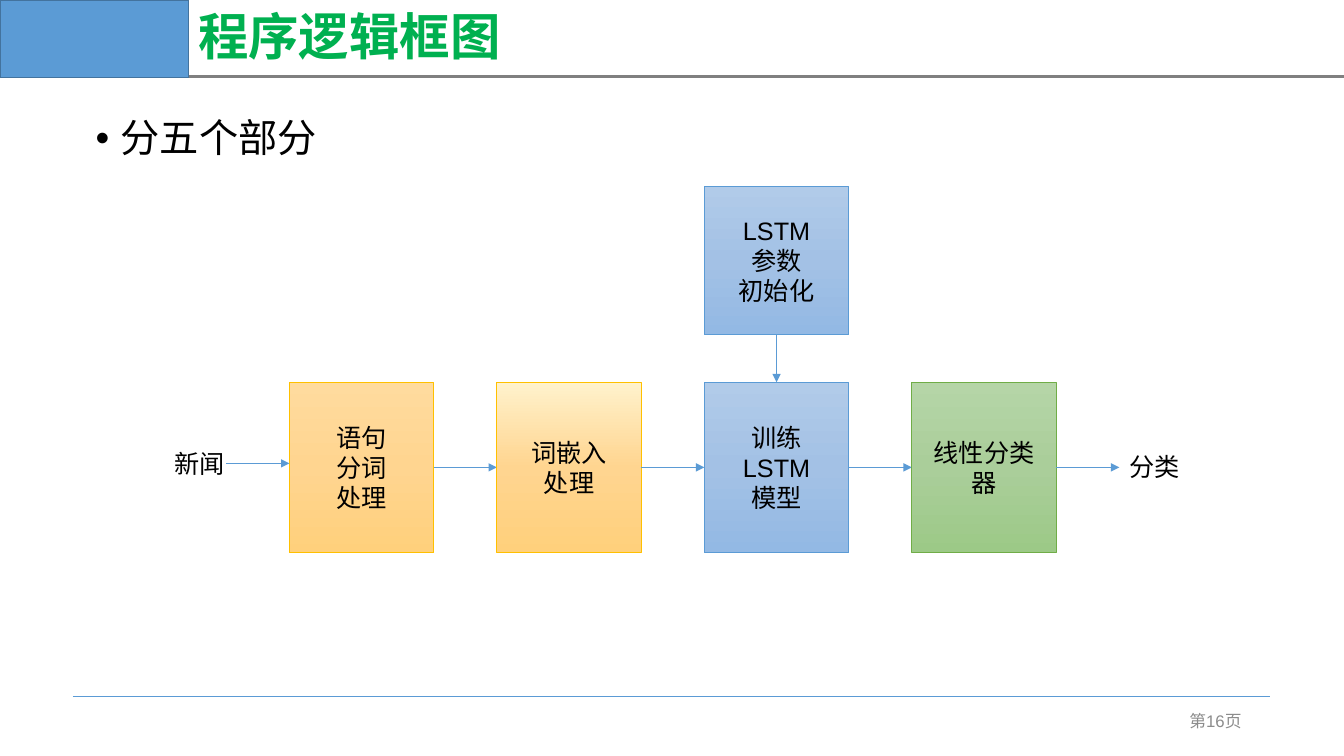
from copy import deepcopy

from lxml import etree
from pptx import Presentation
from pptx.dml.color import RGBColor
from pptx.enum.shapes import MSO_CONNECTOR, MSO_SHAPE
from pptx.enum.text import MSO_ANCHOR, PP_ALIGN
from pptx.oxml.ns import qn
from pptx.util import Pt

RECTANGLE = MSO_SHAPE.RECTANGLE
STRAIGHT = MSO_CONNECTOR.STRAIGHT
TOP, MIDDLE = MSO_ANCHOR.TOP, MSO_ANCHOR.MIDDLE
LEFT, CENTER, RIGHT = PP_ALIGN.LEFT, PP_ALIGN.CENTER, PP_ALIGN.RIGHT

COLORS = {
    "blue": "5B9BD5", "dark_blue": "43739E", "gray": "808080",
    "page_number": "8C8C8C", "title": "00B050", "black": "000000",
    "gold": "FFC000", "green": "70AD47",
}
GRADIENTS = {
    "orange": ("FFDB9E", "FFD590", "FFD07C"),
    "cream": ("FFF2CC", "FFD590", "FFD07C"),
    "blue": ("B1CBE9", "A3C1E5", "93B9E4"),
    "green": ("B5D5A7", "AACE9A", "9CC987"),
}


class FlowPage:
    """Draws the elements of a flow diagram on one page in a shared style."""

    latin_font = "Arial"
    chinese_font = "Noto Sans CJK SC"

    def __init__(self, page):
        self.shapes = page.shapes

    def color(self, name):
        return RGBColor.from_string(COLORS[name])

    def set_text(self, shape, lines, size=18, color="black", align=LEFT,
                 anchor=TOP, font=latin_font, bold=False):
        frame = shape.text_frame
        frame.vertical_anchor = anchor
        frame.text = "\n".join(lines)
        for para in frame.paragraphs:
            para.alignment = align
            para.font.size = Pt(size)
            para.font.bold = bold
            para.font.color.rgb = self.color(color)
            para.font.name = font
            defaults = para._p.pPr.find(qn("a:defRPr"))
            latin = defaults.find(qn("a:latin"))
            east_asian = etree.Element(qn("a:ea"), typeface=self.chinese_font)
            latin.addnext(east_asian)
        return frame

    def label(self, text, left, top, width, height, wrap=True, **style):
        box = self.shapes.add_textbox(Pt(left), Pt(top), Pt(width), Pt(height))
        frame = self.set_text(box, [text], **style)
        frame.word_wrap = wrap
        return frame.paragraphs[0]

    def bullet(self, text, left, top, width, height, size):
        para = self.label(text, left, top, width, height, size=size)
        para.line_spacing = 0.9
        para.space_before = Pt(10)
        properties = para._p.pPr
        properties.set("marL", str(Pt(18)))
        properties.set("indent", str(-Pt(18)))
        defaults = properties.find(qn("a:defRPr"))
        defaults.addprevious(etree.Element(qn("a:buFont"), typeface="Arial"))
        defaults.addprevious(etree.Element(qn("a:buChar"), char="•"))

    def rectangle(self, left, top, width, height, line, weight):
        shape = self.shapes.add_shape(
            RECTANGLE, Pt(left), Pt(top), Pt(width), Pt(height))
        shape.shadow.inherit = False
        shape.line.color.rgb = self.color(line)
        shape.line.width = Pt(weight)
        return shape

    def banner(self, left, top, width, height):
        shape = self.rectangle(left, top, width, height, "dark_blue", 1)
        shape.fill.solid()
        shape.fill.fore_color.rgb = self.color("blue")

    def step(self, lines, left, top, width, height, gradient, line):
        shape = self.rectangle(left, top, width, height, line, 0.5)
        shape.fill.gradient()
        shape.fill.gradient_angle = 270
        stop_list = shape._element.spPr.find(qn("a:gradFill")).find(qn("a:gsLst"))
        stop_list.insert(1, deepcopy(stop_list[0]))
        stops = shape.fill.gradient_stops
        for stop, position, value in zip(stops, (0, 0.5, 1), GRADIENTS[gradient]):
            stop.position = position
            stop.color.rgb = RGBColor.from_string(value)
        self.set_text(shape, lines, align=CENTER, anchor=MIDDLE)

    def line(self, x1, y1, x2, y2, color="blue", weight=0.5, arrow=False):
        connector = self.shapes.add_connector(
            STRAIGHT, Pt(x1), Pt(y1), Pt(x2), Pt(y2))
        connector.line.color.rgb = self.color(color)
        connector.line.width = Pt(weight)
        properties = connector._element.spPr
        if arrow:
            outline = properties.find(qn("a:ln"))
            etree.SubElement(outline, qn("a:tailEnd"), type="triangle")
        etree.SubElement(properties, qn("a:effectLst"))


def main():
    deck = Presentation()
    deck.slide_width, deck.slide_height = Pt(960), Pt(540)
    flow = FlowPage(deck.slides.add_slide(deck.slide_layouts[6]))

    flow.line(52, 497.5, 907, 497.5)
    flow.line(123, 54.5, 960, 54.5, color="gray", weight=2)
    flow.banner(0, 0, 134.5, 55.5)
    flow.label("第16页", 678, 500.5, 216, 28.8, size=12, color="page_number",
               align=RIGHT, anchor=MIDDLE)
    title = flow.label("程序逻辑框图", 134.5, 0, 825.5, 55.5, size=36, color="title",
                       anchor=MIDDLE, font=flow.chinese_font, bold=True)
    title.line_spacing = 0.9
    flow.bullet("分五个部分", 61.2, 81.4, 828, 385, size=28)

    steps = [
        (["语句", "分词", "处理"], "orange", "gold"),
        (["词嵌入", "处理"], "cream", "gold"),
        (["训练", "LSTM", "模型"], "blue", "blue"),
        (["线性分类器"], "green", "green"),
    ]
    first, pitch, width = 206.7, 148.2, 103.2
    top, height = 273, 121.7
    gap = pitch - width
    middle = top + height / 2
    for index, (lines, gradient, line) in enumerate(steps):
        left = first + index * pitch
        right = left + width
        flow.step(lines, left, top, width, height, gradient, line)
        flow.line(right, middle, right + gap, middle, arrow=True)

    setup_left, setup_top, setup_height = first + 2 * pitch, 133, 106
    setup_center = setup_left + width / 2
    flow.step(["LSTM", "参数", "初始化"], setup_left, setup_top, width, setup_height,
              "blue", "blue")
    flow.line(setup_center, setup_top + setup_height, setup_center, top, arrow=True)

    flow.line(first - gap, 331, first, 331, arrow=True)
    flow.label("新闻", 117.2, 316.8, 51, 29, wrap=False)
    flow.label("分类", 799.5, 319, 51, 29, wrap=False)

    deck.save("out.pptx")


if __name__ == "__main__":
    main()
